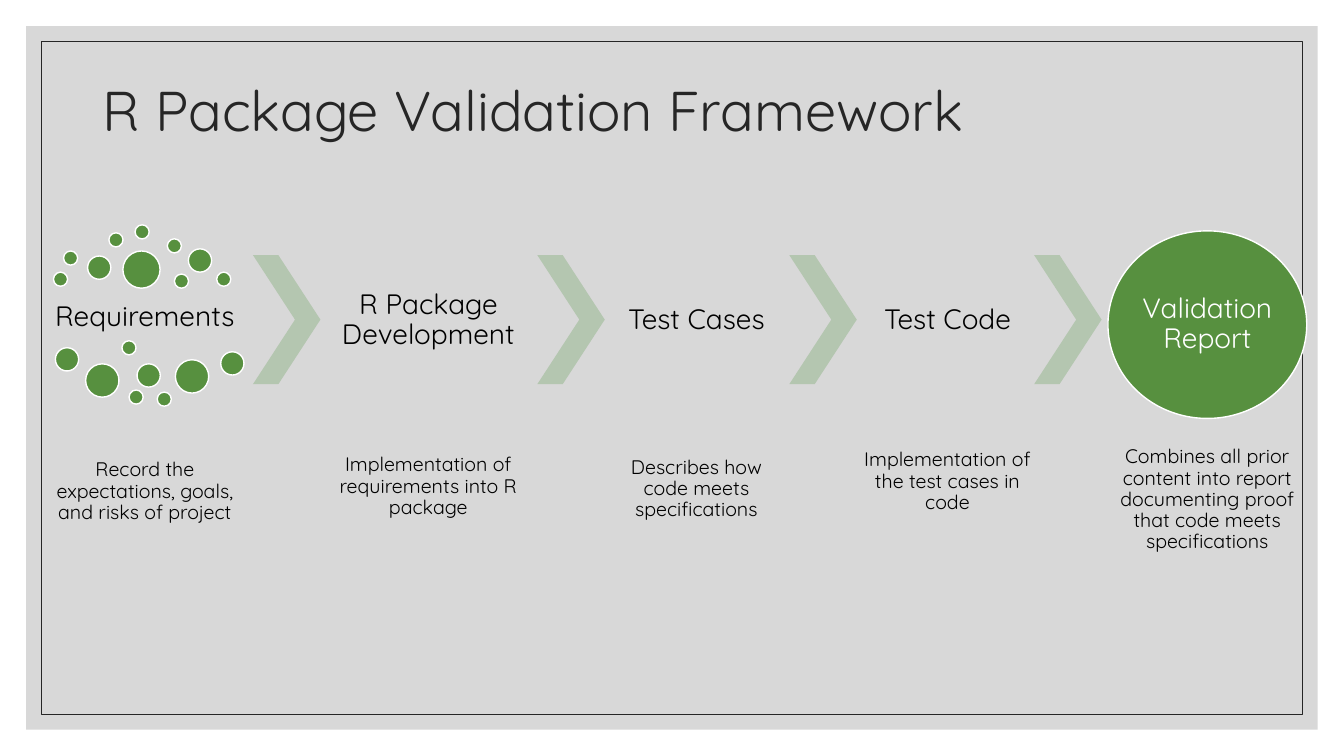
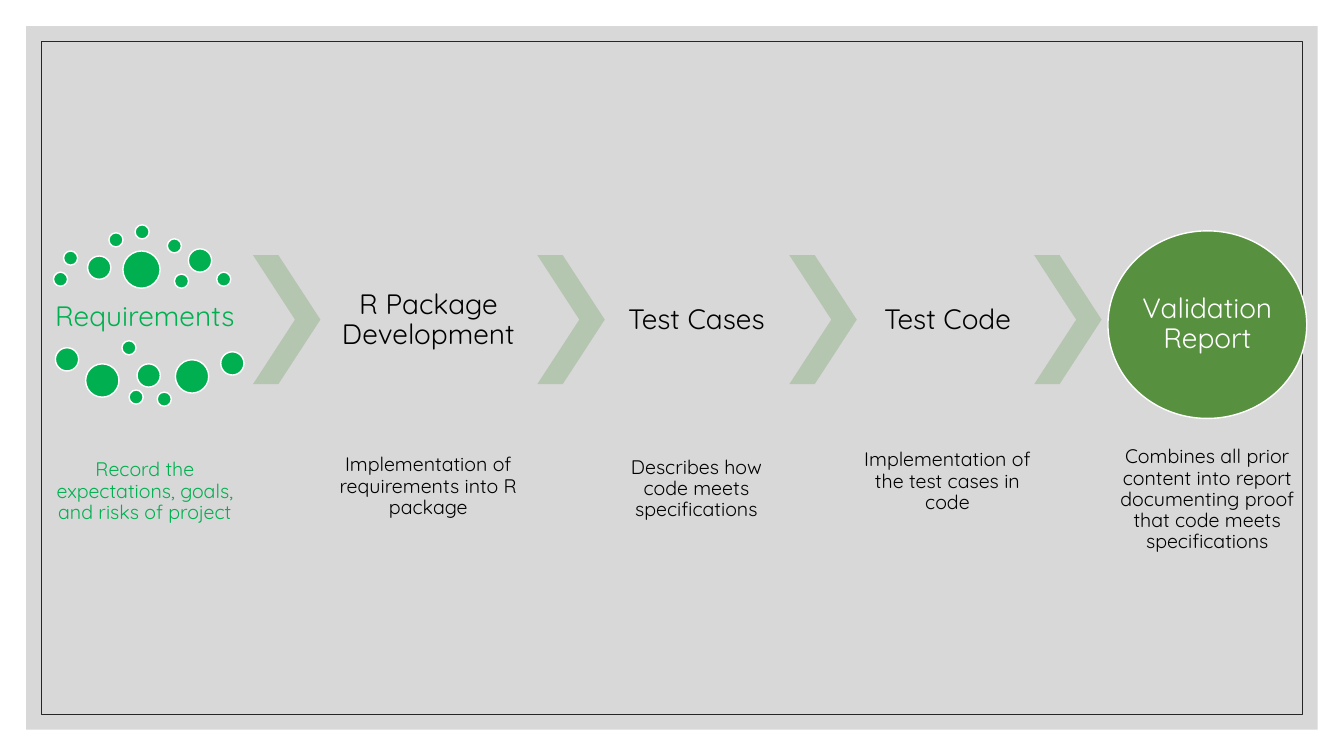
"""Build two slides on the R package validation framework."""
from lxml import etree
from pptx import Presentation
from pptx.dml.color import RGBColor
from pptx.enum import shapes, text as txt
from pptx.oxml.ns import qn
from pptx.util import Pt

COLORS = {"panel": "BFBFBF", "ink": "262626", "black": "000000", "white": "FFFFFF",
          "moss": "57903F", "highlight": "00B050", "sage": "B4C6B0"}
FONT = "Quicksand"
WIDTH, HEIGHT = 960, 540
PANEL_MARGIN, FRAME_MARGIN = 18.72, 29.52

DOTS = {
    10.1: [(38.2, 194.4), (45.4, 179.3), (77.8, 166.3), (96.5, 160.6), (119.5, 170.6),
           (154.8, 194.4), (124.6, 195.8), (87.1, 243.4), (92.2, 278.6), (112.3, 280.1)],
    16.6: [(62.6, 182.9), (134.6, 177.8), (39.6, 248.4), (97.9, 259.9), (157.7, 251.3)],
    23.8: [(61.2, 259.9), (125.3, 257)],
    26.6: [(87.8, 179.3)],
}
CHEVRON_LEFTS = [180.7, 383.8, 563.8, 738.7]
STEPS = [
    ("Requirements", 103.5, 226.8, 153.4,
     "Record the expectations, goals, and risks of project", 311),
    ("R Package Development", 306, 229, 155.5,
     "Implementation of requirements into R package", 307.4),
    ("Test Cases", 497.5, 229, 131,
     "Describes how code meets specifications", 308.9),
    ("Test Code", 676.8, 229, 131,
     "Implementation of the test cases in code", 303.8),
]
REPORT_CENTER = 862.4
STEP_HEIGHT = 92.2
NOTE_WIDTH, NOTE_HEIGHT = 131, 80.6


def draw(slide, kind, left, top, width, height, fill=None, line=None, weight=1):
    shape = slide.shapes.add_shape(kind, Pt(left), Pt(top), Pt(width), Pt(height))
    shape.shadow.inherit = False
    if fill:
        shape.fill.solid()
        shape.fill.fore_color.rgb = RGBColor.from_string(COLORS[fill])
    else:
        shape.fill.background()
    if line:
        shape.line.color.rgb = RGBColor.from_string(COLORS[line])
        shape.line.width = Pt(weight)
    else:
        shape.line.fill.background()
    return shape


def write(slide, content, box=None, holder=None, size=14, color="black",
          align=txt.PP_ALIGN.CENTER, inset=(1.5, 1.5)):
    holder = holder or slide.shapes.add_textbox(*map(Pt, box))
    frame = holder.text_frame
    frame.word_wrap = True
    frame.vertical_anchor = txt.MSO_ANCHOR.MIDDLE
    frame.margin_left = frame.margin_right = Pt(inset[0])
    frame.margin_top = frame.margin_bottom = Pt(inset[1])
    paragraph = frame.paragraphs[0]
    paragraph.alignment = align
    paragraph.line_spacing = 0.9
    run = paragraph.add_run()
    run.text = content
    run.font.name = FONT
    run.font.size = Pt(size)
    run.font.color.rgb = RGBColor.from_string(COLORS[color])


deck = Presentation()
deck.slide_width, deck.slide_height = Pt(WIDTH), Pt(HEIGHT)

for title, dot_color, first_color in [
    ("R Package Validation Framework", "moss", "black"),
    (None, "highlight", "highlight"),
]:
    slide = deck.slides.add_slide(deck.slide_layouts[6])

    panel = draw(slide, shapes.MSO_SHAPE.RECTANGLE, PANEL_MARGIN, PANEL_MARGIN,
                 WIDTH - 2 * PANEL_MARGIN, HEIGHT - 2 * PANEL_MARGIN, fill="panel")
    panel_color = panel.fill._xPr.find(qn("a:solidFill"))[0]
    etree.SubElement(panel_color, qn("a:alpha"), val="60000")
    draw(slide, shapes.MSO_SHAPE.RECTANGLE, FRAME_MARGIN, FRAME_MARGIN,
         WIDTH - 2 * FRAME_MARGIN, HEIGHT - 2 * FRAME_MARGIN, line="ink", weight=0.5)

    if title:
        write(slide, title, box=(66.2, 28.8, 828, 104.4), size=40, color="ink",
              align=txt.PP_ALIGN.LEFT, inset=(7.2, 3.6))

    for diameter, corners in DOTS.items():
        for left, top in corners:
            draw(slide, shapes.MSO_SHAPE.OVAL, left, top, diameter, diameter,
                 fill=dot_color, line="white")

    for left in CHEVRON_LEFTS:
        chevron = draw(slide, shapes.MSO_SHAPE.CHEVRON, left, 182.2, 48.2, STEP_HEIGHT,
                       fill="sage")
        chevron.adjustments[0] = 0.623

    for index, (step, center, middle, width, note, note_top) in enumerate(STEPS):
        color = "black" if index else first_color
        write(slide, step, size=20, color=color, inset=(2, 2),
              box=(center - width / 2, middle - STEP_HEIGHT / 2, width, STEP_HEIGHT))
        write(slide, note, color=color,
              box=(center - NOTE_WIDTH / 2, note_top, NOTE_WIDTH, NOTE_HEIGHT))

    report = draw(slide, shapes.MSO_SHAPE.OVAL, REPORT_CENTER - 71, 164.9, 142, 134,
                  fill="moss", line="white")
    write(slide, "Validation Report", holder=report, size=20, color="white", inset=(0, 0))
    write(slide, "Combines all prior content into report documenting proof "
          "that code meets specifications",
          box=(REPORT_CENTER - NOTE_WIDTH / 2, 316.8, NOTE_WIDTH, NOTE_HEIGHT))

deck.save("out.pptx")
